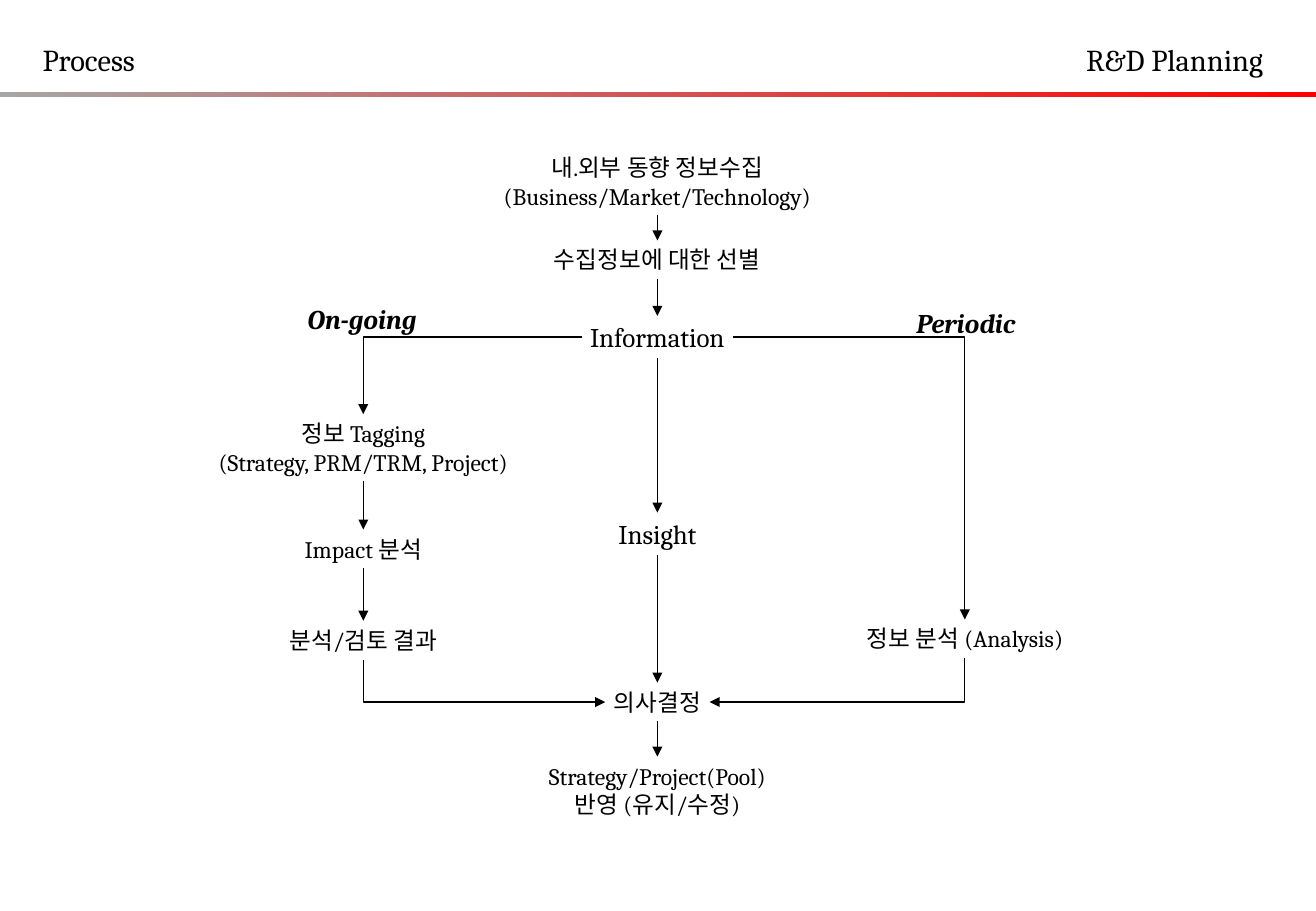
"""Build the R&D planning process flow slide."""
import pptx
import pptx.util
import pptx.dml.color
import pptx.enum.shapes
import pptx.enum.text
from lxml import etree
from pptx.oxml.ns import qn

Inches = pptx.util.Inches
COLOURS = {"ink": "000000", "bar_start": "A6A6A6", "bar_end": "FF0000"}
TOP, LEFT, BOTTOM, RIGHT = range(4)
ALIGN = pptx.enum.text.PP_ALIGN


def colour(name):
    return pptx.dml.color.RGBColor.from_string(COLOURS[name])


def write(box, lines, size, align=ALIGN.CENTER, inset=(0.04, 0.04), emphasis=False, wrap=False):
    frame = box.text_frame
    frame.word_wrap = wrap
    frame.auto_size = pptx.enum.text.MSO_AUTO_SIZE.NONE
    frame.vertical_anchor = pptx.enum.text.MSO_ANCHOR.TOP
    frame.margin_left = frame.margin_right = Inches(inset[0])
    frame.margin_top = frame.margin_bottom = Inches(inset[1])
    for index, line in enumerate(lines):
        paragraph = frame.add_paragraph() if index else frame.paragraphs[0]
        paragraph.alignment = align
        run = paragraph.add_run()
        run.text = line
        run.font.name = "Cambria"
        run.font.size = pptx.util.Pt(size)
        run.font.bold = run.font.italic = emphasis
        run.font.color.rgb = colour("ink")


deck = pptx.Presentation()
deck.slide_width, deck.slide_height = Inches(10.83), Inches(7.5)
slide = deck.slides.add_slide(deck.slide_layouts[5])
shapes = slide.shapes

header_bar = shapes.add_shape(
    pptx.enum.shapes.MSO_SHAPE.RECTANGLE, 0, Inches(0.76), deck.slide_width, Inches(0.04))
header_bar.shadow.inherit = False
header_bar.line.fill.background()
header_bar.fill.gradient()
header_bar.fill.gradient_angle = 0
for stop, name in zip(header_bar.fill.gradient_stops, ("bar_start", "bar_end")):
    stop.color.rgb = colour(name)

process_title = shapes.title
process_title.left, process_title.top = Inches(0.25), Inches(0.29)
process_title.width, process_title.height = Inches(1.03), Inches(0.4)
planning_label = shapes.add_textbox(Inches(8.84), Inches(0.29), Inches(1.76), Inches(0.4))
for heading, text in ((process_title, "Process"), (planning_label, "R&D Planning")):
    write(heading, [text], 18, ALIGN.LEFT, (0.1, 0.05))

ONGOING, CENTRE, PERIODIC = 2.99, 5.41, 7.94
steps = {
    "collect": (CENTRE, 1.22, 2.72, 14, ["내.외부 동향 정보수집", "(Business/Market/Technology)"]),
    "screen": (CENTRE, 1.98, 1.93, 14, ["수집정보에 대한 선별"]),
    "information": (CENTRE, 2.6, 1.24, 16, ["Information"]),
    "tagging": (ONGOING, 3.41, 2.56, 14, ["정보 Tagging", "(Strategy, PRM/TRM, Project)"]),
    "impact": (ONGOING, 4.36, 1.1, 14, ["Impact 분석"]),
    "review": (ONGOING, 5.11, 1.4, 14, ["분석/검토 결과"]),
    "analysis": (PERIODIC, 5.1, 1.8, 14, ["정보 분석 (Analysis)"]),
    "insight": (CENTRE, 4.22, 0.75, 16, ["Insight"]),
    "decision": (CENTRE, 5.62, 0.86, 14, ["의사결정"]),
    "apply": (CENTRE, 6.23, 1.98, 14, ["Strategy/Project(Pool)", "반영 (유지/수정)"]),
    "ongoing": (2.98, 2.45, 1.01, 16, ["On-going"]),
    "periodic": (7.95, 2.48, 0.91, 16, ["Periodic"]),
}
boxes = {}
for key, (centre, top, width, size, lines) in steps.items():
    height = 0.55 if len(lines) == 2 else 0.35 if size == 16 else 0.32
    boxes[key] = shapes.add_textbox(
        Inches(centre - width / 2), Inches(top), Inches(width), Inches(height))
    write(boxes[key], lines, size, emphasis=key in ("ongoing", "periodic"), wrap=key == "review")

flows = [
    ("collect", BOTTOM, "screen", TOP),
    ("screen", BOTTOM, "information", TOP),
    ("information", BOTTOM, "insight", TOP),
    ("insight", BOTTOM, "decision", TOP),
    ("decision", BOTTOM, "apply", TOP),
    ("tagging", BOTTOM, "impact", TOP),
    ("impact", BOTTOM, "review", TOP),
    ("information", LEFT, "tagging", TOP),
    ("information", RIGHT, "analysis", TOP),
    ("review", BOTTOM, "decision", LEFT),
    ("analysis", BOTTOM, "decision", RIGHT),
]
CONNECTOR = pptx.enum.shapes.MSO_CONNECTOR
for source, source_side, target, target_side in flows:
    straight = (source_side, target_side) == (BOTTOM, TOP)
    arrow = shapes.add_connector(CONNECTOR.STRAIGHT if straight else CONNECTOR.ELBOW, 0, 0, 0, 0)
    arrow.begin_connect(boxes[source], source_side)
    arrow.end_connect(boxes[target], target_side)
    arrow.line.color.rgb = colour("ink")
    arrow.line.width = pptx.util.Pt(0.75)
    properties = arrow._element.spPr
    etree.SubElement(properties.find(qn("a:ln")), qn("a:tailEnd"), type="triangle")
    etree.SubElement(properties, qn("a:effectLst"))
    if straight:
        continue
    properties.find(qn("a:prstGeom")).set("prst", "bentConnector2")
    if source_side == BOTTOM:
        across, down = arrow.width, arrow.height
        arrow.left += (across - down) // 2
        arrow.top += (down - across) // 2
        arrow.width, arrow.height = down, across
        frame = properties.find(qn("a:xfrm"))
        quarter_turns = 3 if target_side == LEFT else 1
        frame.set("rot", str(quarter_turns * 90 * 60000))
        frame.set("flipH", "1" if target_side == LEFT else "0")

deck.save("out.pptx")
